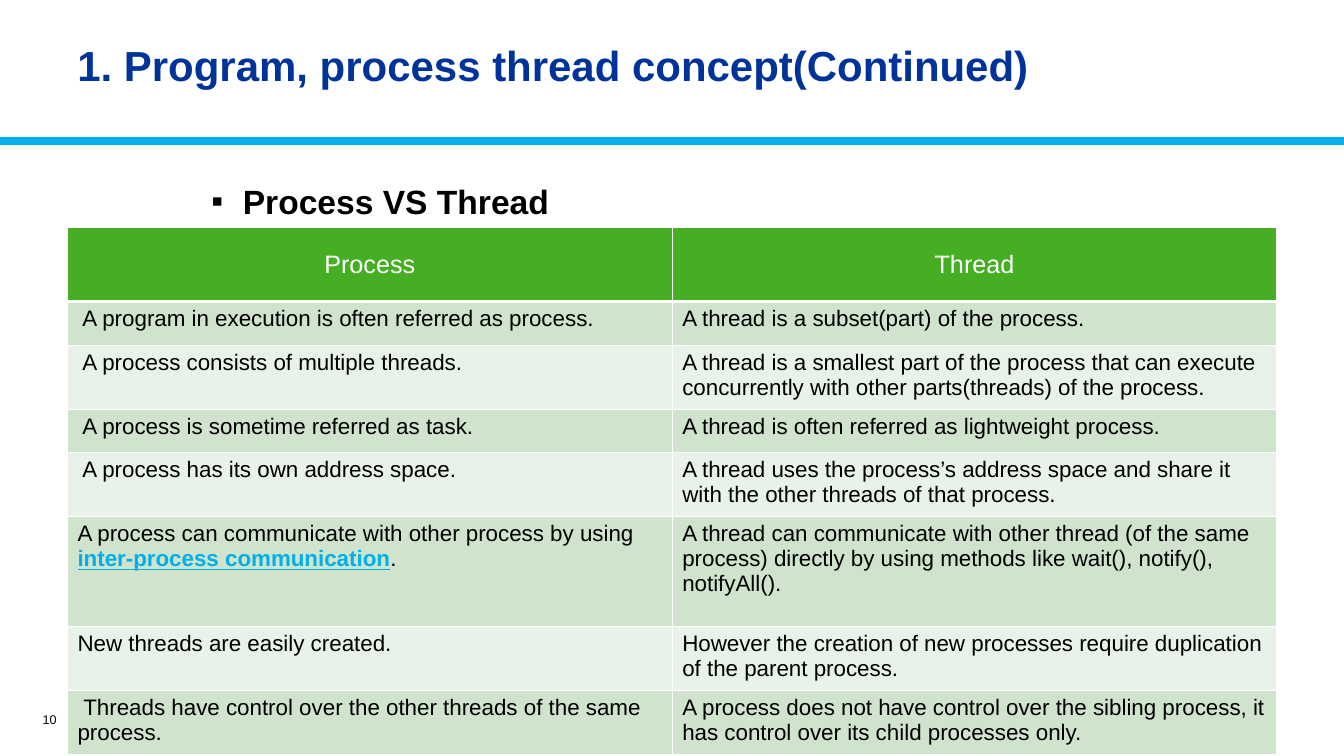
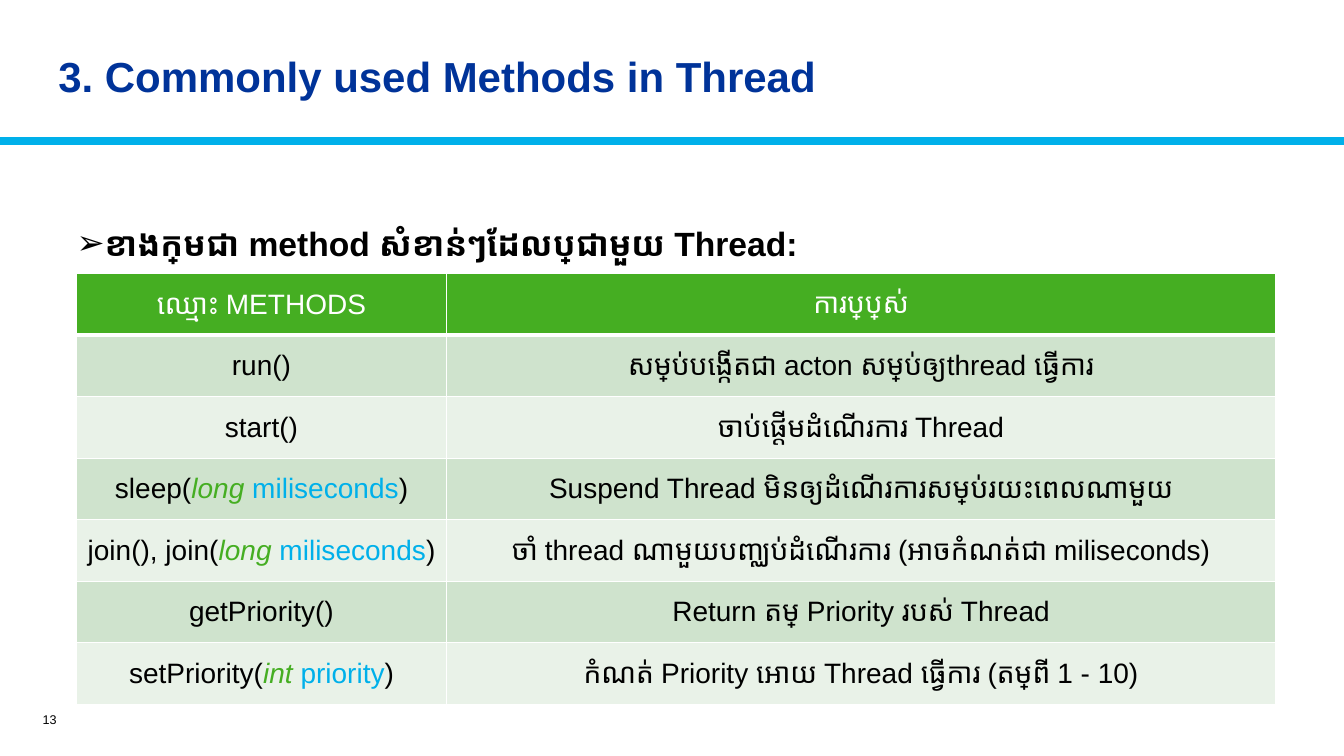
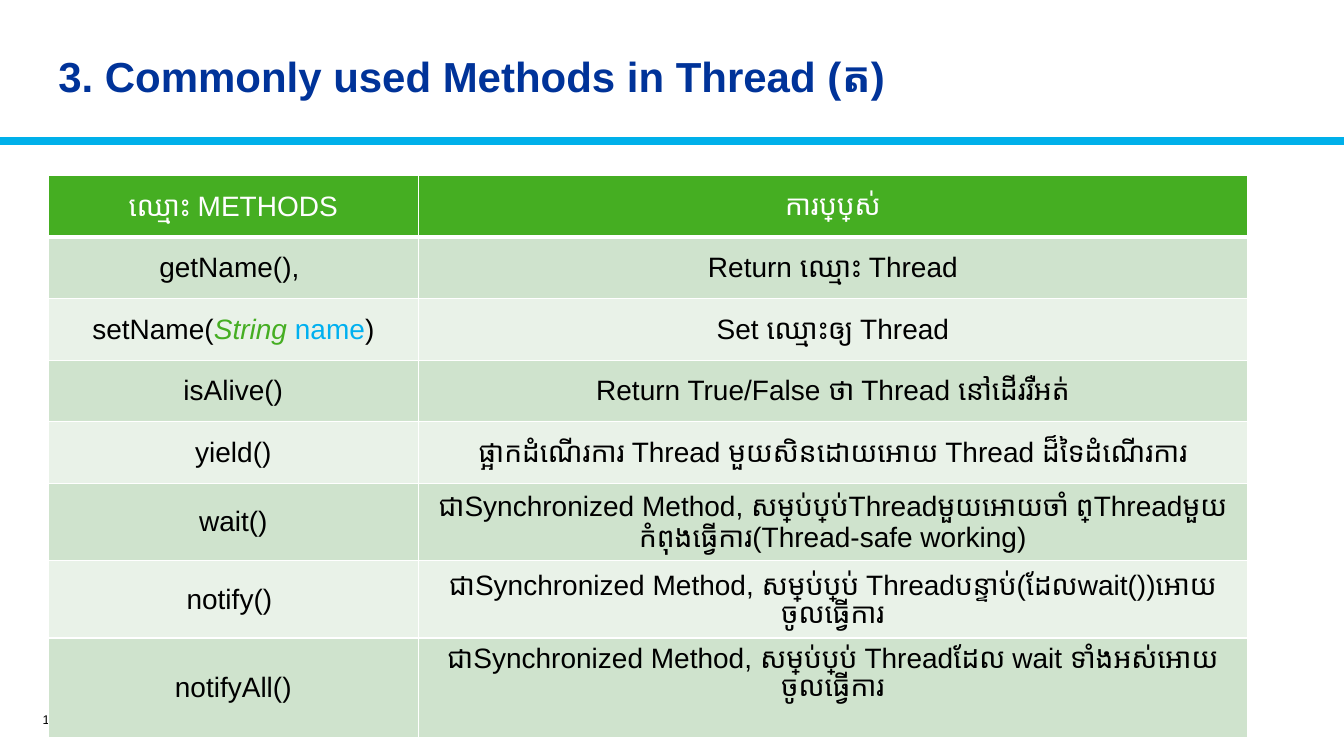
from dataclasses import dataclass

from lxml.etree import SubElement
from pptx import Presentation
from pptx.dml.color import RGBColor
from pptx.enum.shapes import MSO_CONNECTOR
from pptx.enum.text import MSO_ANCHOR as Anchor, PP_ALIGN as Align
from pptx.oxml.ns import qn
from pptx.util import Cm, Pt


@dataclass(frozen=True)
class Theme:
    font: str = "Arial"
    title: str = "003399"
    accent: str = "00B0EA"
    sky: str = "00B0F0"
    green: str = "45AE22"
    bands: tuple = ("CFE3CD", "E9F2E8")
    ink: str = "000000"
    paper: str = "FFFFFF"
    title_size: int = 30
    heading_size: int = 24
    number_size: int = 9
    rule_width: int = 6
    grid_width: int = 1
    header_rule_width: int = 3


THEME = Theme()
WIDTH, HEIGHT = 33.87, 19.05
RULE_TOP = 3.56
NUMBER_BOX = (0.23, 17.75, 1.45, 0.76)
METHOD_TITLE_BOX = (1.22, 0.93, 22.91, 2.11)
METHOD_COLUMNS = (9.32, 20.9)
METHOD_ROW = 1.55
METHOD_HEADER = ("ឈ្មោះ METHODS", "ការប្រើប្រាស់")

RUN_STYLES = {
    "plain": {},
    "term": {"color": THEME.accent, "bold": True, "underline": True},
    "type": {"color": THEME.green, "italic": True},
    "argument": {"color": THEME.accent},
    "name": {"color": THEME.sky},
}


def signature(call, kind, argument, style="argument"):
    return [(call + "(", "plain"), (kind + " ", "type"), (argument, style), (")", "plain")]


SLIDES = [
    {
        "number": "10",
        "title": "1. Program, process thread concept(Continued)",
        "title_box": (1.7, 0.3, 30.53, 2.82),
        "heading": {"text": "Process VS Thread", "bullet": "▪", "indent": 0.79,
                    "box": (5.08, 4.42, 14.35, 1.27)},
        "table": {
            "at": (1.7, 5.72),
            "columns": (15.24, 15.24),
            "heights": (1.88, 1.1, 1.51, 1.1, 1.51, 2.77, 1.51, 1.51),
            "sizes": (18, 16),
            "align": Align.LEFT,
            "anchor": Anchor.TOP,
            "rows": [
                ("Process", "Thread"),
                (" A program in execution is often referred as process.",
                 "A thread is a subset(part) of the process."),
                (" A process consists of multiple threads.",
                 "A thread is a smallest part of the process that can execute "
                 "concurrently with other parts(threads) of the process."),
                (" A process is sometime referred as task.",
                 "A thread is often referred as lightweight process."),
                (" A process has its own address space.",
                 "A thread uses the process’s address space and share it "
                 "with the other threads of that process."),
                ([("A process can communicate with other process by using ", "plain"),
                  ("inter-process communication", "term"), (".", "plain")],
                 "A thread can communicate with other thread (of the same process) "
                 "directly by using methods like wait(), notify(), notifyAll()."),
                ("New threads are easily created.",
                 "However the creation of new processes require duplication "
                 "of the parent process."),
                (" Threads have control over the other threads of the same process. ",
                 "A process does not have control over the sibling process, "
                 "it has control over its child processes only."),
            ],
        },
    },
    {
        "number": "13",
        "title": "3. Commonly used Methods in Thread",
        "title_box": METHOD_TITLE_BOX,
        "heading": {"text": "ខាងក្រោមជា method សំខាន់ៗដែលប្រើជាមួយ Thread:", "bullet": "➢",
                    "indent": 0.71, "box": (1.68, 5.36, 31.34, 1.52)},
        "table": {
            "at": (1.93, 6.9),
            "columns": METHOD_COLUMNS,
            "heights": (METHOD_ROW,) * 7,
            "sizes": (20, 20),
            "align": Align.CENTER,
            "anchor": Anchor.MIDDLE,
            "rows": [
                METHOD_HEADER,
                ("run()", "សម្រាប់បង្កើតជា acton សម្រាប់ឲ្យthread ធ្វើការ"),
                ("start()", "ចាប់ផ្ដើមដំណើរការ Thread"),
                (signature("sleep", "long", "miliseconds"),
                 "Suspend Thread មិនឲ្យដំណើរការសម្រាប់រយះពេលណាមួយ"),
                (signature("join(), join", "long", "miliseconds"),
                 "ចាំ thread ណាមួយបញ្ឈប់ដំណើរការ (អាចកំណត់ជា miliseconds)"),
                ("getPriority()", "Return តម្លៃ Priority របស់ Thread"),
                (signature("setPriority", "int", "priority"),
                 "កំណត់ Priority អោយ Thread ធ្វើការ (តម្លៃពី 1 - 10)"),
            ],
        },
    },
    {
        "number": "14",
        "title": "3. Commonly used Methods in Thread (ត)",
        "title_box": METHOD_TITLE_BOX,
        "table": {
            "at": (1.22, 4.43),
            "columns": METHOD_COLUMNS,
            "heights": (METHOD_ROW,) * 5 + (1.8, 1.77, 2.5),
            "sizes": (20, 20),
            "align": Align.CENTER,
            "anchor": Anchor.MIDDLE,
            "top_cells": {(7, 1)},
            "rows": [
                METHOD_HEADER,
                ("getName(), ", "Return ឈ្មោះ Thread"),
                (signature("setName", "String", "name", "name"), "Set ឈ្មោះឲ្យ Thread"),
                ("isAlive()", "Return True/False ថា Thread នៅដើររឺអត់"),
                ("yield()", "ផ្អាកដំណើរការ Thread មួយសិនដោយអោយ Thread ដ៏ទៃដំណើរការ"),
                ("wait()", "ជាSynchronized Method, សម្រាប់ប្រាប់Threadមួយអោយចាំ "
                           "ព្រោះThreadមួយកំពុងធ្វើការ(Thread-safe working)"),
                ("notify() ", "ជាSynchronized Method, សម្រាប់ប្រាប់ "
                              "Threadបន្ទាប់(ដែលwait())អោយចូលធ្វើការ"),
                ("notifyAll()", "ជាSynchronized Method, សម្រាប់ប្រាប់ "
                                "Threadដែល wait ទាំងអស់អោយចូលធ្វើការ"),
            ],
        },
    },
]


def add_run(paragraph, text, size, color=THEME.ink, bold=False, italic=False, underline=False):
    run = paragraph.add_run()
    run.text = text
    font = run.font
    font.name, font.size = THEME.font, Pt(size)
    font.bold, font.italic, font.underline = bold, italic, underline
    font.color.rgb = RGBColor.from_string(color)


def add_text(slide, box, text, size, align=Align.LEFT, **style):
    frame = slide.shapes.add_textbox(*map(Cm, box)).text_frame
    frame.word_wrap = True
    frame.vertical_anchor = Anchor.MIDDLE
    paragraph = frame.paragraphs[0]
    paragraph.alignment = align
    add_run(paragraph, text, size, **style)
    return paragraph


def add_bullet(paragraph, char, indent):
    properties = paragraph._p.get_or_add_pPr()
    properties.set("marL", str(Cm(indent)))
    properties.set("indent", str(-Cm(indent)))
    SubElement(properties, qn("a:buFont"), typeface=THEME.font)
    SubElement(properties, qn("a:buChar"), char=char)


def add_rule(slide):
    rule = slide.shapes.add_connector(
        MSO_CONNECTOR.STRAIGHT, 0, Cm(RULE_TOP), Cm(WIDTH), Cm(RULE_TOP))
    rule.line.color.rgb = RGBColor.from_string(THEME.accent)
    rule.line.width = Pt(THEME.rule_width)
    SubElement(rule._element.spPr, qn("a:effectLst"))


def set_borders(cell, top, bottom):
    properties = cell._tc.get_or_add_tcPr()
    widths = {"L": THEME.grid_width, "R": THEME.grid_width, "T": top, "B": bottom}
    for side, width in widths.items():
        line = SubElement(properties, qn("a:ln" + side), w=str(Pt(width)))
        fill = SubElement(line, qn("a:solidFill"))
        SubElement(fill, qn("a:srgbClr"), val=THEME.paper)


def fill_cell(cell, content, size, color, background, align, anchor):
    cell.fill.solid()
    cell.fill.fore_color.rgb = RGBColor.from_string(background)
    cell.vertical_anchor = anchor
    paragraph = cell.text_frame.paragraphs[0]
    paragraph.alignment = align
    runs = [(content, "plain")] if isinstance(content, str) else content
    for text, style in runs:
        add_run(paragraph, text, size, **{"color": color, **RUN_STYLES[style]})


def add_comparison(slide, data):
    columns, heights = data["columns"], data["heights"]
    extent = (*data["at"], sum(columns), sum(heights))
    table = slide.shapes.add_table(len(heights), len(columns), *map(Cm, extent)).table
    table.horz_banding = table.first_row = False
    for column, width in zip(table.columns, columns):
        column.width = Cm(width)
    header_size, body_size = data["sizes"]
    for r, (row, height) in enumerate(zip(data["rows"], heights)):
        table.rows[r].height = Cm(height)
        for c, content in enumerate(row):
            cell = table.cell(r, c)
            set_borders(cell,
                        THEME.header_rule_width if r == 1 else THEME.grid_width,
                        THEME.header_rule_width if r == 0 else THEME.grid_width)
            if r == 0:
                fill_cell(cell, content, header_size, THEME.paper, THEME.green,
                          Align.CENTER, Anchor.MIDDLE)
            else:
                at_top = (r, c) in data.get("top_cells", ())
                fill_cell(cell, content, body_size, THEME.ink, THEME.bands[(r - 1) % 2],
                          data["align"], Anchor.TOP if at_top else data["anchor"])


def build_slide(deck, content):
    slide = deck.slides.add_slide(deck.slide_layouts[6])
    add_rule(slide)
    add_text(slide, NUMBER_BOX, content["number"], THEME.number_size, Align.RIGHT)
    title = add_text(slide, content["title_box"], content["title"], THEME.title_size,
                     color=THEME.title, bold=True)
    title.line_spacing = 0.9
    if "heading" in content:
        heading = content["heading"]
        line = add_text(slide, heading["box"], heading["text"], THEME.heading_size, bold=True)
        add_bullet(line, heading["bullet"], heading["indent"])
    add_comparison(slide, content["table"])


def main():
    deck = Presentation()
    deck.slide_width, deck.slide_height = Cm(WIDTH), Cm(HEIGHT)
    for content in SLIDES:
        build_slide(deck, content)
    deck.save("out.pptx")


if __name__ == "__main__":
    main()
